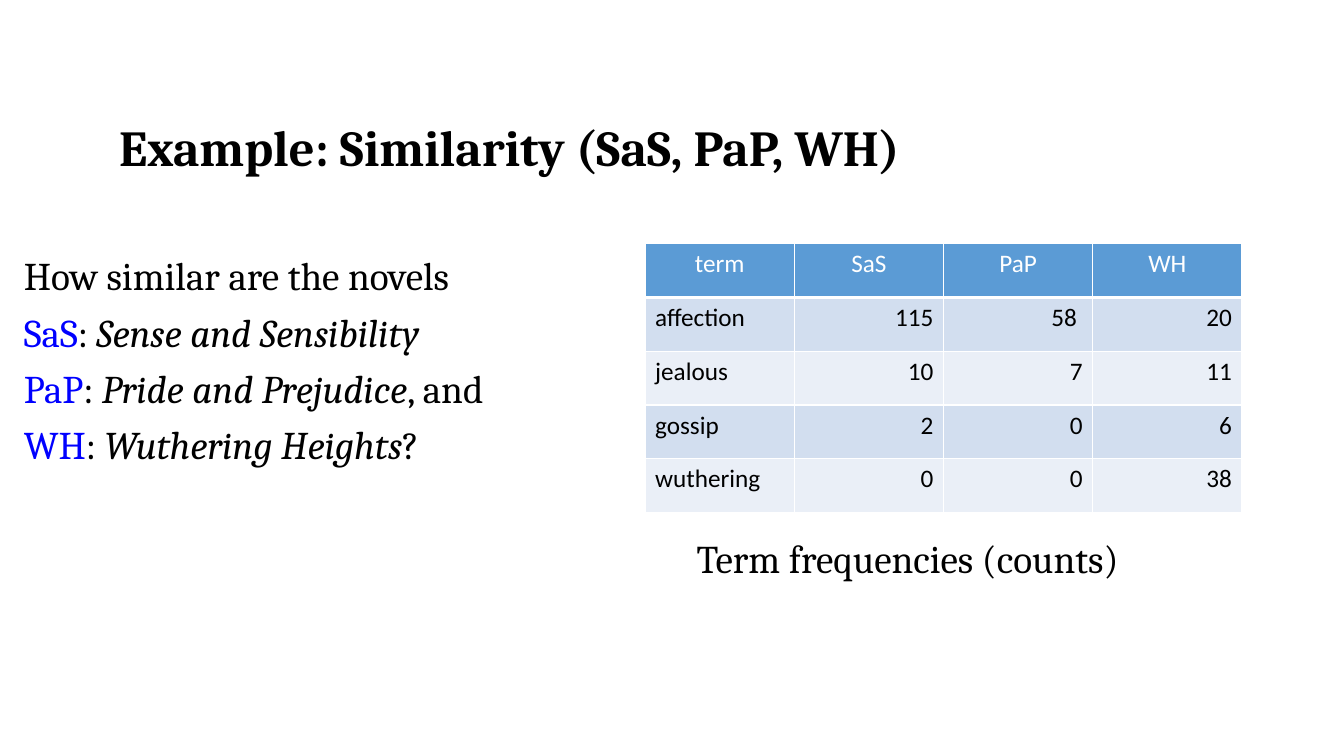
from lxml import etree
from pptx import Presentation
from pptx import util as u
from pptx.dml.color import RGBColor
from pptx.enum import text
from pptx.oxml.ns import qn

BLACK, WHITE, BLUE = "000000", "FFFFFF", "0000FF"
HEADER_FILL, BAND_FILLS = "5B9BD5", ("D2DEEF", "EAEFF7")

FREQUENCIES = [
    ("term", "SaS", "PaP", "WH"),
    ("affection", "115", "58 ", "20"),
    ("jealous", "10", "7", "11"),
    ("gossip", "2", "0", "6"),
    ("wuthering", "0", "0", "38"),
]
NOVELS = [
    ("SaS", "Sense and Sensibility", ""),
    ("PaP", "Pride and Prejudice", ", and"),
    ("WH", "Wuthering Heights", "?"),
]


def colour(value):
    return RGBColor.from_string(value)


def style(font, name, size, value, bold=False):
    font.name = name
    font.size = u.Pt(size)
    font.color.rgb = colour(value)
    font.bold = bold


def add_box(page, left, top, width, height, anchor=text.MSO_ANCHOR.TOP):
    frame = page.shapes.add_textbox(*map(u.Pt, (left, top, width, height))).text_frame
    frame.word_wrap = True
    frame.vertical_anchor = anchor
    return frame


def add_line(frame, content, size, bold=False):
    para = frame.paragraphs[0]
    para.text = content
    style(para.font, "Cambria", size, BLACK, bold)
    return para


def add_novel(frame, short, title, ending):
    para = frame.add_paragraph()
    para.line_spacing = 0.9
    para.space_before = u.Pt(10)
    style(para.font, "Cambria", 28, BLACK)
    for content, value, italic in (
        (short, BLUE, False),
        (": ", BLACK, False),
        (title, BLACK, True),
        (ending, BLACK, False),
    ):
        if content:
            span = para.add_run()
            span.text = content
            style(span.font, "Cambria", 28, value)
            span.font.italic = italic


def set_borders(cell, bottom):
    properties = cell._tc.get_or_add_tcPr()
    for position, (side, width) in enumerate(
        (("L", 1), ("R", 1), ("T", 1), ("B", bottom))
    ):
        line = etree.Element(qn(f"a:ln{side}"), w=str(u.Pt(width)))
        fill = etree.SubElement(line, qn("a:solidFill"))
        etree.SubElement(fill, qn("a:srgbClr"), val=WHITE)
        properties.insert(position, line)


def add_frequency_table(page, left, top, column_width, row_height):
    rows, columns = len(FREQUENCIES), len(FREQUENCIES[0])
    table = page.shapes.add_table(
        rows, columns, u.Pt(left), u.Pt(top),
        u.Pt(column_width * columns), u.Pt(row_height * rows),
    ).table
    for column in table.columns:
        column.width = u.Pt(column_width)
    for row_index, values in enumerate(FREQUENCIES):
        header = row_index == 0
        table.rows[row_index].height = u.Pt(row_height)
        for column_index, value in enumerate(values):
            cell = table.cell(row_index, column_index)
            cell.fill.solid()
            cell.fill.fore_color.rgb = colour(
                HEADER_FILL if header else BAND_FILLS[(row_index - 1) % 2]
            )
            set_borders(cell, 3 if header else 1)
            para = cell.text_frame.paragraphs[0]
            para.text = value
            style(para.font, "Calibri", 18, WHITE if header else BLACK)
            if header:
                para.alignment = text.PP_ALIGN.CENTER
            elif column_index:
                para.alignment = text.PP_ALIGN.RIGHT


def main():
    deck = Presentation()
    deck.slide_width, deck.slide_height = u.Pt(960), u.Pt(540)
    page = deck.slides.add_slide(deck.slide_layouts[6])

    title = add_box(page, 78, 39, 826, 91.4, text.MSO_ANCHOR.BOTTOM)
    add_line(title, "Example: Similarity (SaS, PaP, WH)", 36, True).line_spacing = 0.9

    add_frequency_table(page, 460.8, 174.2, 106.6, 38.4)

    question = add_box(page, 10, 180, 417, 198)
    add_line(question, "How similar are the novels", 28).line_spacing = 0.9
    for novel in NOVELS:
        add_novel(question, *novel)

    caption = add_box(page, 490.5, 378, 344, 41)
    add_line(caption, "Term frequencies (counts)", 28)

    deck.save("out.pptx")


if __name__ == "__main__":
    main()
